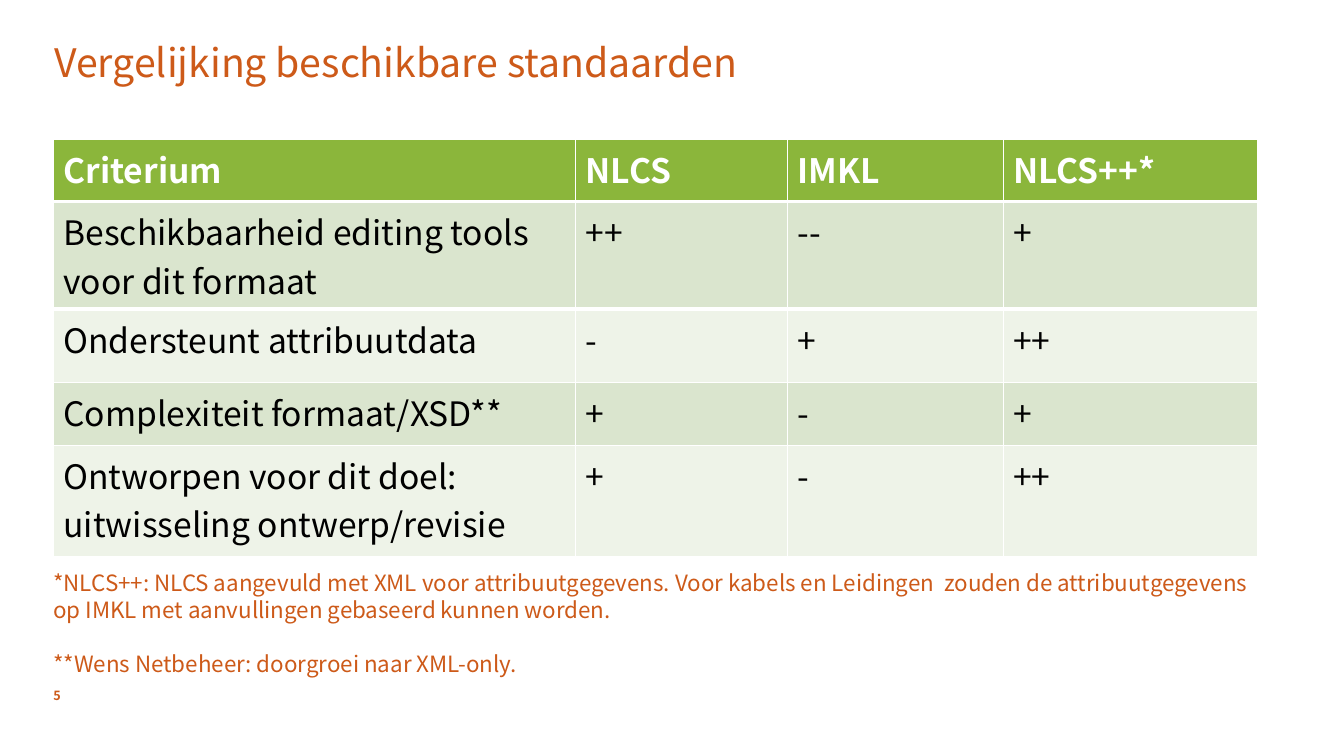
"""Build the slide that compares the available drawing standards."""
from lxml import etree
from pptx import Presentation
from pptx import util as u
from pptx.dml import color
from pptx.enum import text
from pptx.oxml import ns

FONT = "Noto Sans CJK TC"
ORANGE, GREEN, WHITE, BLACK = "CD5A19", "8BB63B", "FFFFFF", "000000"
BANDS = ("DAE5CE", "EEF3E8")
LEFT, WIDTH = 0.53, 11.94
COLUMN_WIDTHS = (5.18, 2.1, 2.14, 2.52)
ROW_HEIGHTS = (0.62, 0.8, 0.73, 0.62, 1.11)
CRITERIA = (
    ("Criterium", "NLCS", "IMKL", "NLCS++*"),
    ("Beschikbaarheid editing tools voor dit formaat", "++", "--", "+"),
    ("Ondersteunt attribuutdata", "-", "+", "++"),
    ("Complexiteit formaat/XSD**", "+", "-", "+"),
    ("Ontworpen voor dit doel: uitwisseling ontwerp/revisie", "+", "-", "++"),
)
FOOTNOTES = (
    "*NLCS++: NLCS aangevuld met XML voor attribuutgegevens. Voor kabels en Leidingen  "
    "zouden de attribuutgegevens op IMKL met aanvullingen gebaseerd kunnen worden.",
    "**Wens Netbeheer: doorgroei naar XML-only.",
)


def rgb(value):
    return color.RGBColor.from_string(value)


def add_span(para, words, size, colour, bold=False):
    span = para.add_run()
    span.text = words
    span.font.name = FONT
    span.font.size = u.Pt(size)
    span.font.bold = bold
    span.font.color.rgb = rgb(colour)


def prepare_frame(box, anchor):
    frame = box.text_frame
    frame.word_wrap = True
    frame.vertical_anchor = anchor
    frame.margin_left = frame.margin_right = 0
    frame.margin_top = frame.margin_bottom = 0
    return frame


def add_box(page, left, top, width, height, anchor):
    box = page.shapes.add_textbox(*map(u.Inches, (left, top, width, height)))
    return prepare_frame(box, anchor)


def set_title(page, words):
    title = page.shapes.title
    title.left, title.top = u.Inches(0.54), u.Inches(0.46)
    title.width, title.height = u.Inches(10.06), u.Inches(0.36)
    frame = prepare_frame(title, text.MSO_ANCHOR.MIDDLE)
    frame.auto_size = text.MSO_AUTO_SIZE.NONE
    para = frame.paragraphs[0]
    para.alignment = text.PP_ALIGN.LEFT
    para.line_spacing = 0.9
    add_span(para, words, 28, ORANGE)


def add_border(cell, side, points):
    properties = cell._tc.get_or_add_tcPr()
    line = etree.Element(ns.qn(f"a:{side}"), w=str(u.Pt(points)))
    fill = etree.SubElement(line, ns.qn("a:solidFill"))
    etree.SubElement(fill, ns.qn("a:srgbClr"), val=WHITE)
    properties.insert(0, line)


def fill_cell(cell, words, fill, colour, bold):
    cell.fill.solid()
    cell.fill.fore_color.rgb = rgb(fill)
    add_span(cell.text_frame.paragraphs[0], words, 24, colour, bold)


def add_criteria_table(page):
    table = page.shapes.add_table(
        len(CRITERIA), len(COLUMN_WIDTHS), u.Inches(LEFT), u.Inches(1.38),
        u.Inches(WIDTH), u.Inches(sum(ROW_HEIGHTS))).table
    for column, width in zip(table.columns, COLUMN_WIDTHS):
        column.width = u.Inches(width)
    for index, (row, height) in enumerate(zip(table.rows, ROW_HEIGHTS)):
        row.height = u.Inches(height)
        header = index == 0
        fill = GREEN if header else BANDS[(index - 1) % 2]
        for cell, words in zip(row.cells, CRITERIA[index]):
            fill_cell(cell, words, fill, WHITE if header else BLACK, header)
            if header:
                add_border(cell, "lnB", 3)
            elif index == 1:
                add_border(cell, "lnT", 3)


def add_footnotes(page):
    frame = add_box(page, LEFT, 5.65, WIDTH, 1.08, text.MSO_ANCHOR.TOP)
    for index, words in enumerate(FOOTNOTES):
        para = frame.add_paragraph() if index else frame.paragraphs[0]
        para.line_spacing = 1.0
        para.space_before = u.Pt(19.3 if index else 0)
        add_span(para, words, 16, ORANGE)


def add_page_number(page, number):
    frame = add_box(page, LEFT, 6.77, 0.27, 0.25, text.MSO_ANCHOR.MIDDLE)
    add_span(frame.paragraphs[0], number, 9, ORANGE, True)


def main():
    deck = Presentation()
    deck.slide_width, deck.slide_height = u.Inches(13.33), u.Inches(7.5)
    page = deck.slides.add_slide(deck.slide_layouts.get_by_name("Title Only"))
    set_title(page, "Vergelijking beschikbare standaarden")
    add_criteria_table(page)
    add_footnotes(page)
    add_page_number(page, "5")
    deck.save("out.pptx")


if __name__ == "__main__":
    main()
